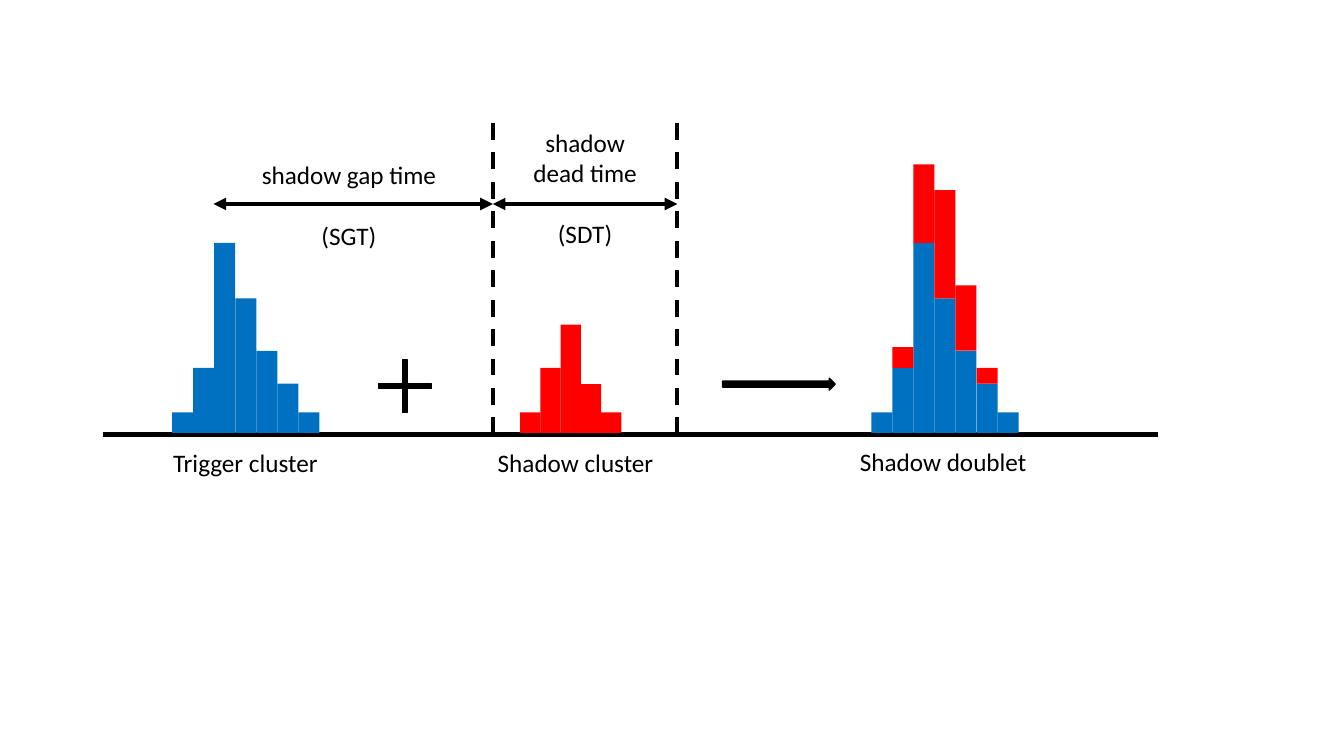
from lxml.etree import SubElement
from pptx import Presentation
from pptx.dml.color import RGBColor
from pptx.enum.dml import MSO_LINE
from pptx.enum.shapes import MSO_CONNECTOR, MSO_SHAPE
from pptx.enum.text import PP_ALIGN
from pptx.oxml.ns import qn
from pptx.util import Cm, Pt

BLACK, BLUE, RED = "000000", "0070C0", "FF0000"
BASELINE = 10.91
TRIGGER_HEIGHTS = [0.52, 1.64, 4.79, 3.39, 2.07, 1.24, 0.52]
SHADOW_HEIGHTS = [0.52, 1.64, 2.73, 1.23, 0.52]
DOUBLET_RISES = [0, 0.52, 1.98, 2.73, 1.65, 0.4, 0]


def color(hex_string):
    return RGBColor.from_string(hex_string)


def add_filled_shape(slide, kind, left, top, width, height, fill, outlined=False):
    shape = slide.shapes.add_shape(kind, Cm(left), Cm(top), Cm(width), Cm(height))
    shape.shadow.inherit = False
    shape.fill.solid()
    shape.fill.fore_color.rgb = color(fill)
    if outlined:
        shape.line.color.rgb = color(fill)
        shape.line.width = Pt(1)
    else:
        shape.line.fill.background()
    return shape


def add_line(slide, start, end, dashed=False, arrows=False):
    connector = slide.shapes.add_connector(
        MSO_CONNECTOR.STRAIGHT, Cm(start[0]), Cm(start[1]), Cm(end[0]), Cm(end[1]))
    connector.line.color.rgb = color(BLACK)
    connector.line.width = Pt(3)
    if dashed:
        connector.line.dash_style = MSO_LINE.DASH
    if arrows:
        line = connector.line._get_or_add_ln()
        for tag in ("a:headEnd", "a:tailEnd"):
            SubElement(line, qn(tag)).set("type", "triangle")
    SubElement(connector._element.spPr, qn("a:effectLst"))


def add_label(slide, left, top, width, height, lines, wrap=False):
    box = slide.shapes.add_textbox(Cm(left), Cm(top), Cm(width), Cm(height))
    frame = box.text_frame
    frame.word_wrap = wrap
    frame.text = "\n".join(lines)
    for paragraph in frame.paragraphs:
        paragraph.alignment = PP_ALIGN.CENTER
        paragraph.font.name = "Calibri"
        paragraph.font.size = Pt(18)
        paragraph.font.color.rgb = color(BLACK)
    for paragraph in frame.paragraphs[1:]:
        paragraph.space_before = Pt(22)


def draw_bars(slide, left, baseline, step, heights, fill, floors=None):
    floors = floors or [0] * len(heights)
    for index, (height, floor) in enumerate(zip(heights, floors)):
        if height:
            add_filled_shape(slide, MSO_SHAPE.RECTANGLE, left + index * step,
                             baseline - floor - height, step, height, fill)


def draw_trigger_cluster(slide, left, baseline):
    draw_bars(slide, left, baseline, 0.53, TRIGGER_HEIGHTS, BLUE)
    add_label(slide, left - 0.25, baseline + 0.24, 4.19, 1.02, ["Trigger cluster"])


def draw_shadow_cluster(slide, left, baseline):
    draw_bars(slide, left, baseline, 0.51, SHADOW_HEIGHTS, RED)
    add_label(slide, left - 0.84, baseline + 0.24, 4.47, 1.02, ["Shadow cluster"])


def draw_shadow_doublet(slide, left, baseline):
    draw_bars(slide, left, baseline, 0.53, TRIGGER_HEIGHTS, BLUE)
    draw_bars(slide, left, baseline, 0.53, DOUBLET_RISES, RED, TRIGGER_HEIGHTS)
    add_label(slide, left - 0.58, baseline + 0.21, 4.78, 1.02, ["Shadow doublet"])


def draw_time_windows(slide, start, gap_end, dead_end, top, bottom):
    for edge in (gap_end, dead_end):
        add_line(slide, (edge, top), (edge, bottom), dashed=True)
    arrow_top = top + 2.04
    for left, right in ((start, gap_end), (gap_end, dead_end)):
        add_line(slide, (left, arrow_top), (right, arrow_top), arrows=True)
    add_label(slide, start + 0.94, top + 0.8, 4.95, 2.56, ["shadow gap time", "(SGT)"])
    add_label(slide, gap_end + 0.38, top - 0.02, 3.89, 3.33,
              ["shadow dead time", "(SDT)"], wrap=True)


def draw_operators(slide, plus_left, arrow_left, middle):
    plus = add_filled_shape(slide, MSO_SHAPE.CROSS, plus_left, middle - 0.66,
                            1.32, 1.32, BLACK, outlined=True)
    plus.adjustments[0] = 0.45
    add_filled_shape(slide, MSO_SHAPE.RIGHT_ARROW, arrow_left, middle - 0.2,
                     2.84, 0.3, BLACK, outlined=True)


def main():
    presentation = Presentation()
    presentation.slide_width = Cm(33.87)
    presentation.slide_height = Cm(19.05)
    slide = presentation.slides.add_slide(presentation.slide_layouts[6])
    add_line(slide, (2.6, BASELINE + 0.04), (29.18, BASELINE + 0.04))
    draw_trigger_cluster(slide, 4.34, BASELINE)
    draw_shadow_cluster(slide, 13.11, BASELINE)
    draw_shadow_doublet(slide, 21.96, BASELINE)
    draw_time_windows(slide, 5.38, 12.42, 17.07, 3.1, 11.13)
    draw_operators(slide, 9.55, 18.21, 9.73)
    presentation.save("out.pptx")


if __name__ == "__main__":
    main()
